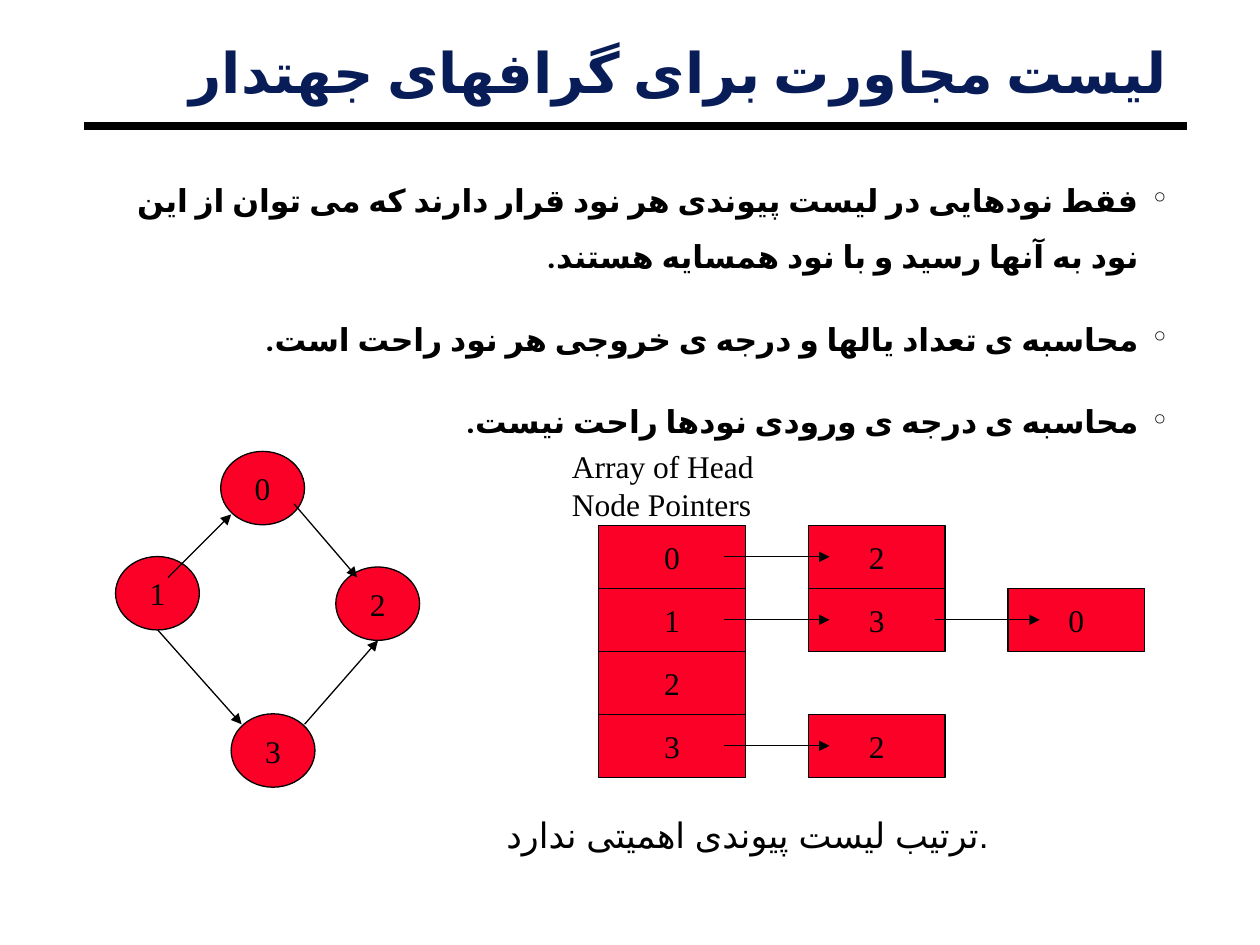
from dataclasses import dataclass

from lxml import etree
from pptx import Presentation
from pptx import util as u
from pptx.dml.color import RGBColor
from pptx.enum import lang, shapes, text
from pptx.oxml.ns import qn


@dataclass(frozen=True)
class Theme:
    black: RGBColor = RGBColor(0x00, 0x00, 0x00)
    navy: RGBColor = RGBColor(0x08, 0x1D, 0x58)
    red: RGBColor = RGBColor(0xFC, 0x01, 0x28)
    title_font: str = "Lato"
    body_font: str = "Roboto"
    note_font: str = "Arial"
    label_font: str = "Times New Roman"
    title_size: int = 32
    body_size: int = 18
    note_size: int = 20
    label_size: int = 18
    thin: float = 0.75
    thick: float = 4.5


class SlideBuilder:
    def __init__(self, slide, theme):
        self.slide = slide
        self.theme = theme

    def add_run(self, paragraph, words, font, size, color=None, bold=False):
        run = paragraph.add_run()
        run.text = words
        run.font.name = font
        run.font.size = u.Pt(size)
        run.font.bold = bold
        run.font.color.rgb = color or self.theme.black
        if not words.isascii():
            run.font.language_id = lang.MSO_LANGUAGE_ID.FARSI
            # Persian letters take their font from the complex-script entry.
            etree.SubElement(run.font._element, qn("a:cs"), typeface=font)

    def text_box(self, left, top, width, height, inset=(0.25, 0.13)):
        box = self.slide.shapes.add_textbox(
            u.Cm(left), u.Cm(top), u.Cm(width), u.Cm(height))
        frame = box.text_frame
        frame.word_wrap = True
        frame.margin_left = frame.margin_right = u.Cm(inset[0])
        frame.margin_top = frame.margin_bottom = u.Cm(inset[1])
        return frame

    def paragraphs(self, frame, count):
        return [frame.paragraphs[0]] + [frame.add_paragraph() for _ in range(count - 1)]

    def right_to_left(self, paragraph):
        paragraph.alignment = text.PP_ALIGN.RIGHT
        properties = paragraph._p.get_or_add_pPr()
        properties.set("rtl", "1")
        return properties

    def title(self, words):
        theme = self.theme
        frame = self.text_box(1.7, 0.86, 22.02, 1.37, inset=(0.18, 0.08))
        paragraph = frame.paragraphs[0]
        self.right_to_left(paragraph)
        paragraph.line_spacing = 0.87
        self.add_run(paragraph, words, theme.title_font, theme.title_size, theme.navy, True)

    def bullets(self, items):
        theme = self.theme
        frame = self.text_box(1.9, 3.18, 21.8, 5.77, inset=(0.18, 0.08))
        for index, paragraph in enumerate(self.paragraphs(frame, len(items))):
            properties = self.right_to_left(paragraph)
            properties.set("marL", str(u.Cm(0.56)))
            properties.set("indent", str(-u.Cm(0.56)))
            bullet_color = etree.SubElement(properties, qn("a:buClr"))
            etree.SubElement(bullet_color, qn("a:srgbClr"), val=str(theme.black))
            etree.SubElement(properties, qn("a:buChar"), char="°")
            paragraph.line_spacing = 1.5
            if index:
                paragraph.space_before = u.Pt(14.6)
            self.add_run(paragraph, items[index], theme.body_font, theme.body_size, bold=True)

    def label(self, left, top, width, height, lines, font, size):
        frame = self.text_box(left, top, width, height)
        for paragraph, words in zip(self.paragraphs(frame, len(lines)), lines):
            self.add_run(paragraph, words, font, size)

    def node(self, kind, left, top, width, height, words):
        theme = self.theme
        shape = self.slide.shapes.add_shape(
            kind, u.Cm(left), u.Cm(top), u.Cm(width), u.Cm(height))
        shape.shadow.inherit = False
        shape.fill.solid()
        shape.fill.fore_color.rgb = theme.red
        shape.line.color.rgb = theme.black
        shape.line.width = u.Pt(theme.thin)
        frame = shape.text_frame
        frame.word_wrap = False
        frame.vertical_anchor = text.MSO_ANCHOR.MIDDLE
        paragraph = frame.paragraphs[0]
        paragraph.alignment = text.PP_ALIGN.CENTER
        self.add_run(paragraph, words, theme.label_font, theme.label_size)

    def line(self, start, end, width):
        connector = self.slide.shapes.add_connector(
            shapes.MSO_CONNECTOR.STRAIGHT, *(u.Cm(value) for value in (*start, *end)))
        connector.line.color.rgb = self.theme.black
        connector.line.width = u.Pt(width)
        etree.SubElement(connector._element.spPr, qn("a:effectLst"))
        return connector

    def arrow(self, start, end):
        connector = self.line(start, end, self.theme.thin)
        etree.SubElement(connector.line._get_or_add_ln(), qn("a:tailEnd"), type="triangle")


def draw_adjacency_list(builder):
    """Draw one row per vertex: its head cell, then its linked neighbours."""
    columns = [(12.07, 2.96), (16.3, 2.75), (20.32, 2.75)]
    arrow_starts = [14.6, 18.84]
    arrow_length = 2.12
    top, row_height = 10.59, 1.27
    rows = ["02", "130", "2", "32"]
    for index, row in enumerate(rows):
        for (left, width), words in zip(columns, row):
            builder.node(shapes.MSO_SHAPE.RECTANGLE, left, top + index * row_height,
                         width, row_height, words)
    for index, row in enumerate(rows):
        middle = top + (index + 0.5) * row_height
        for start in arrow_starts[:len(row) - 1]:
            builder.arrow((start, middle), (start + arrow_length, middle))


def draw_graph(builder):
    vertices = {"0": (4.45, 9.1), "1": (2.33, 11.22), "2": (6.77, 11.43), "3": (4.66, 14.39)}
    for words, (left, top) in vertices.items():
        builder.node(shapes.MSO_SHAPE.OVAL, left, top, 1.69, 1.48, words)
    edges = [
        ((3.18, 12.7), (4.87, 14.6)),
        ((3.39, 11.64), (4.66, 10.37)),
        ((5.93, 10.16), (7.2, 11.64)),
        ((6.14, 14.6), (7.62, 12.91)),
    ]
    for start, end in edges:
        builder.arrow(start, end)


def main():
    presentation = Presentation()
    presentation.slide_width, presentation.slide_height = u.Cm(25.4), u.Cm(19.05)
    slide = presentation.slides.add_slide(presentation.slide_layouts[6])
    theme = Theme()
    builder = SlideBuilder(slide, theme)

    builder.line((1.7, 2.54), (23.92, 2.54), theme.thick)
    builder.title("لیست مجاورت برای گرافهای جهتدار")
    builder.bullets([
        "فقط نودهایی در لیست پیوندی هر نود قرار دارند که می توان از این نود به آنها رسید و با نود همسایه هستند.",
        "محاسبه ی تعداد یالها و درجه ی خروجی هر نود راحت است.",
        "محاسبه ی درجه ی ورودی نودها راحت نیست.",
    ])
    draw_adjacency_list(builder)
    builder.label(9.96, 16.26, 10.62, 1.12, ["ترتیب لیست پیوندی اهمیتی ندارد."],
                  theme.note_font, theme.note_size)
    builder.label(11.28, 8.89, 4.95, 1.78, ["Array of Head", "Node Pointers"],
                  theme.label_font, theme.label_size)
    draw_graph(builder)
    presentation.save("out.pptx")


if __name__ == "__main__":
    main()
